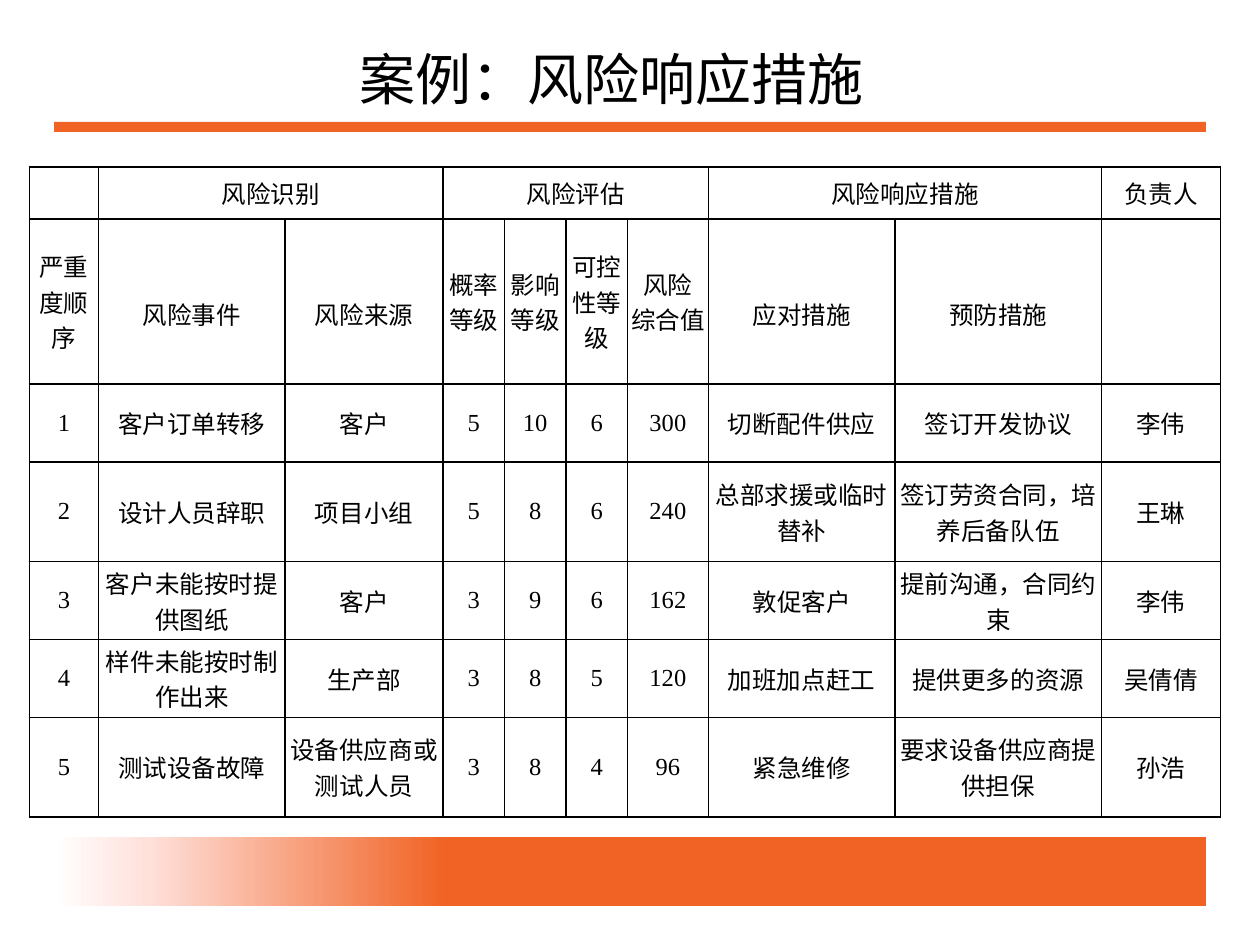
from lxml.etree import SubElement
from pptx import Presentation
from pptx.dml.color import RGBColor
from pptx.enum.shapes import MSO_SHAPE
from pptx.enum.text import MSO_ANCHOR, PP_ALIGN
from pptx.oxml.ns import qn
from pptx.util import Cm, Pt

COLORS = {"text": "000000", "orange": "F06324", "blush": "FFE1DC", "white": "FFFFFF"}
LATIN, CJK = "Times New Roman", "Noto Sans CJK SC"

TITLE = "案例：风险响应措施"
GROUPS = [("", 1), ("风险识别", 2), ("风险评估", 4), ("风险响应措施", 2), ("负责人", 1)]
HEADINGS = ["严重度顺序", "风险事件", "风险来源", "概率等级", "影响\n等级",
            "可控性等级", "风险\n综合值", "应对措施", "预防措施", ""]
LOWERED = {"风险事件", "风险来源", "应对措施", "预防措施"}
RISKS = [
    ["1", "客户订单转移", "客户", "5", "10", "6", "300", "切断配件供应", "签订开发协议", "李伟"],
    ["2", "设计人员辞职", "项目小组", "5", "8", "6", "240", "总部求援或临时替补",
     "签订劳资合同，培养后备队伍", "王琳"],
    ["3", "客户未能按时提供图纸", "客户", "3", "9", "6", "162", "敦促客户",
     "提前沟通，合同约束", "李伟"],
    ["4", "样件未能按时制作出来", "生产部", "3", "8", "5", "120", "加班加点赶工",
     "提供更多的资源", "吴倩倩"],
    ["5", "测试设备故障", "设备供应商或测试人员", "3", "8", "4", "96", "紧急维修",
     "要求设备供应商提供担保", "孙浩"],
]
COL_WIDTHS = [1.4, 3.76, 3.18, 1.24, 1.24, 1.24, 1.63, 3.76, 4.17, 2.39]
ROW_HEIGHTS = [1.04, 3.33, 1.57, 2.01, 1.57, 1.57, 2.01]
BAND_STOPS = [(0, "white"), (8, "blush"), (34, "orange"), (100, "orange")]
BAR_LEFT, BAR_WIDTH = 1.09, 23.22


def write(tf, text, size=14, color="text", align=PP_ALIGN.CENTER):
    tf.word_wrap = True
    for i, line in enumerate(text.split("\n")):
        p = tf.paragraphs[0] if i == 0 else tf.add_paragraph()
        p.alignment = align
        r = p.add_run()
        r.text = line
        r.font.size = Pt(size)
        r.font.name = LATIN
        r.font.color.rgb = RGBColor.from_string(COLORS[color])
        SubElement(r.font._element, qn("a:ea"), typeface=CJK)


def add_bar(s, top, height):
    sp = s.shapes.add_shape(MSO_SHAPE.RECTANGLE, Cm(BAR_LEFT), Cm(top),
                            Cm(BAR_WIDTH), Cm(height))
    sp.shadow.inherit = False
    sp.line.fill.background()
    sp.fill.solid()
    sp.fill.fore_color.rgb = RGBColor.from_string(COLORS["orange"])
    return sp


def set_gradient(sp, stops):
    sp.fill.gradient()
    sp.fill.gradient_angle = 0
    gs_list = sp._element.spPr.find(qn("a:gradFill")).find(qn("a:gsLst"))
    for gs in list(gs_list):
        gs_list.remove(gs)
    for percent, color in stops:
        gs = SubElement(gs_list, qn("a:gs"), pos=str(percent * 1000))
        SubElement(gs, qn("a:srgbClr"), val=COLORS[color])


def format_cell(cell):
    """Clear the fill and margins, centre vertically and draw all four borders."""
    cell.margin_left = cell.margin_right = cell.margin_top = cell.margin_bottom = 0
    cell.vertical_anchor = MSO_ANCHOR.MIDDLE
    tcPr = cell._tc.get_or_add_tcPr()
    for side in ("lnL", "lnR", "lnT", "lnB"):
        ln = SubElement(tcPr, qn(f"a:{side}"), w=str(Pt(1)))
        SubElement(SubElement(ln, qn("a:solidFill")), qn("a:srgbClr"), val=COLORS["text"])
    cell.fill.background()


def add_risk_table(s):
    rows = [[""] * len(COL_WIDTHS), HEADINGS] + RISKS
    table = s.shapes.add_table(len(rows), len(COL_WIDTHS), Cm(0.59), Cm(3.37),
                               Cm(sum(COL_WIDTHS)), Cm(sum(ROW_HEIGHTS))).table
    table.first_row = table.horz_banding = False
    for col, width in zip(table.columns, COL_WIDTHS):
        col.width = Cm(width)
    for row, height in zip(table.rows, ROW_HEIGHTS):
        row.height = Cm(height)
    for i, texts in enumerate(rows):
        for j, text in enumerate(texts):
            cell = table.cell(i, j)
            format_cell(cell)
            if text in LOWERED:
                cell.margin_top = Cm(0.52)
            if text:
                write(cell.text_frame, text)
    start = 0
    for text, span in GROUPS:
        cell = table.cell(0, start)
        if span > 1:
            cell.merge(table.cell(0, start + span - 1))
        if text:
            write(cell.text_frame, text)
        start += span


def main():
    prs = Presentation()
    prs.slide_width, prs.slide_height = Cm(25.4), Cm(19.05)
    s = prs.slides.add_slide(prs.slide_layouts[6])
    add_bar(s, 2.46, 0.2)
    set_gradient(add_bar(s, 16.87, 1.4), BAND_STOPS)
    add_risk_table(s)
    title = s.shapes.add_textbox(Cm(1.19), Cm(0.79), Cm(22.3), Cm(1.57))
    title.text_frame.vertical_anchor = MSO_ANCHOR.MIDDLE
    write(title.text_frame, TITLE, size=32)
    prs.save("out.pptx")


if __name__ == "__main__":
    main()
